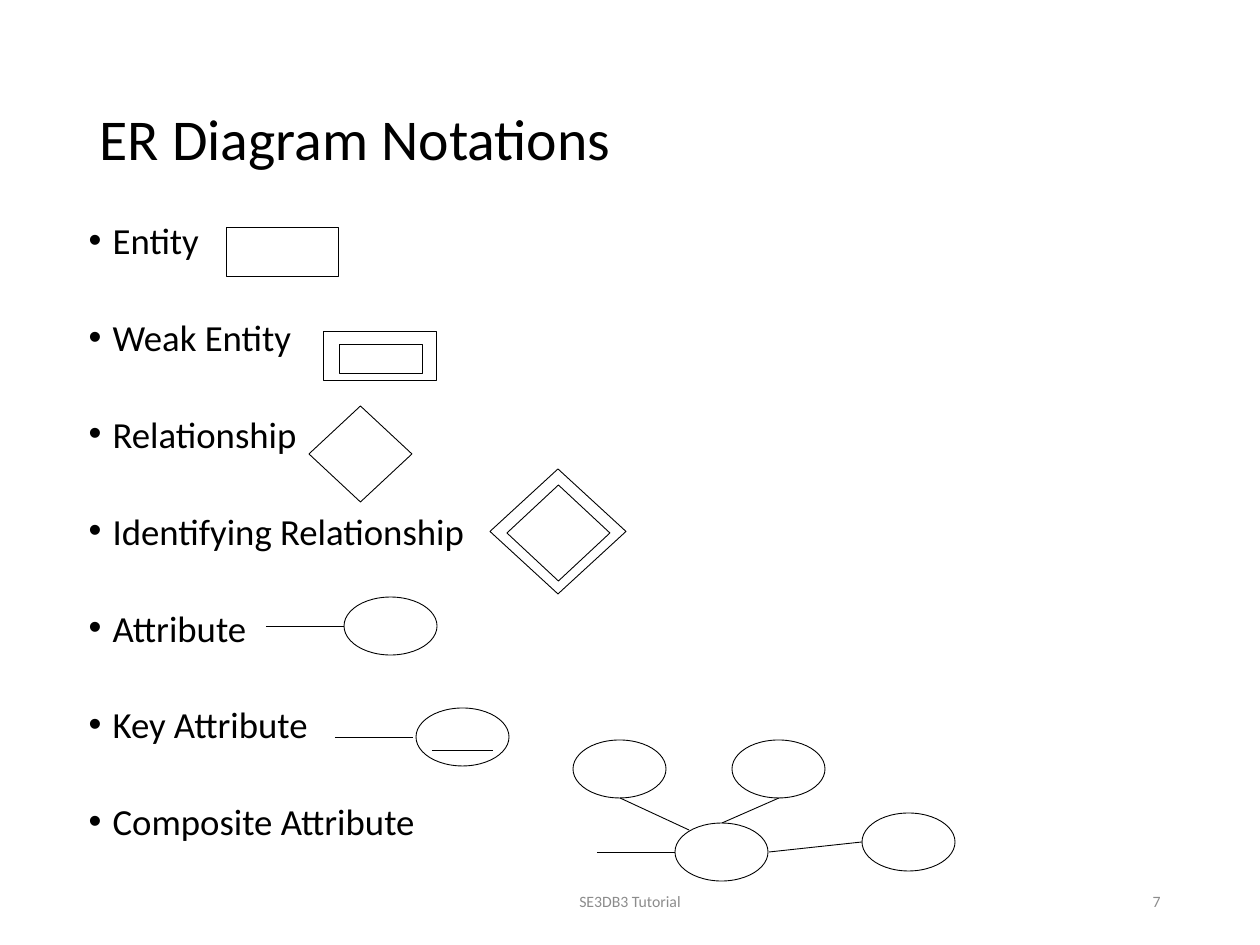
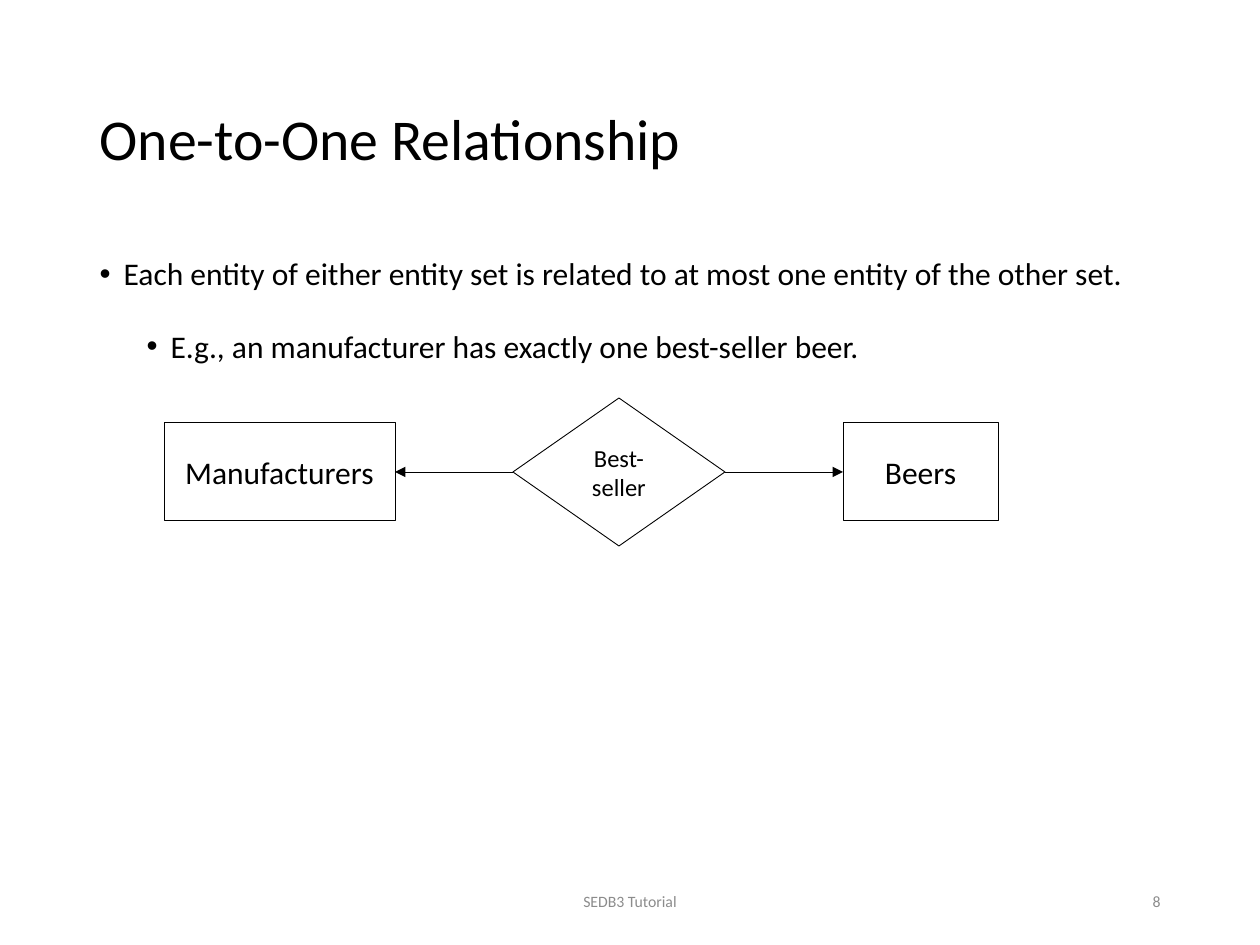
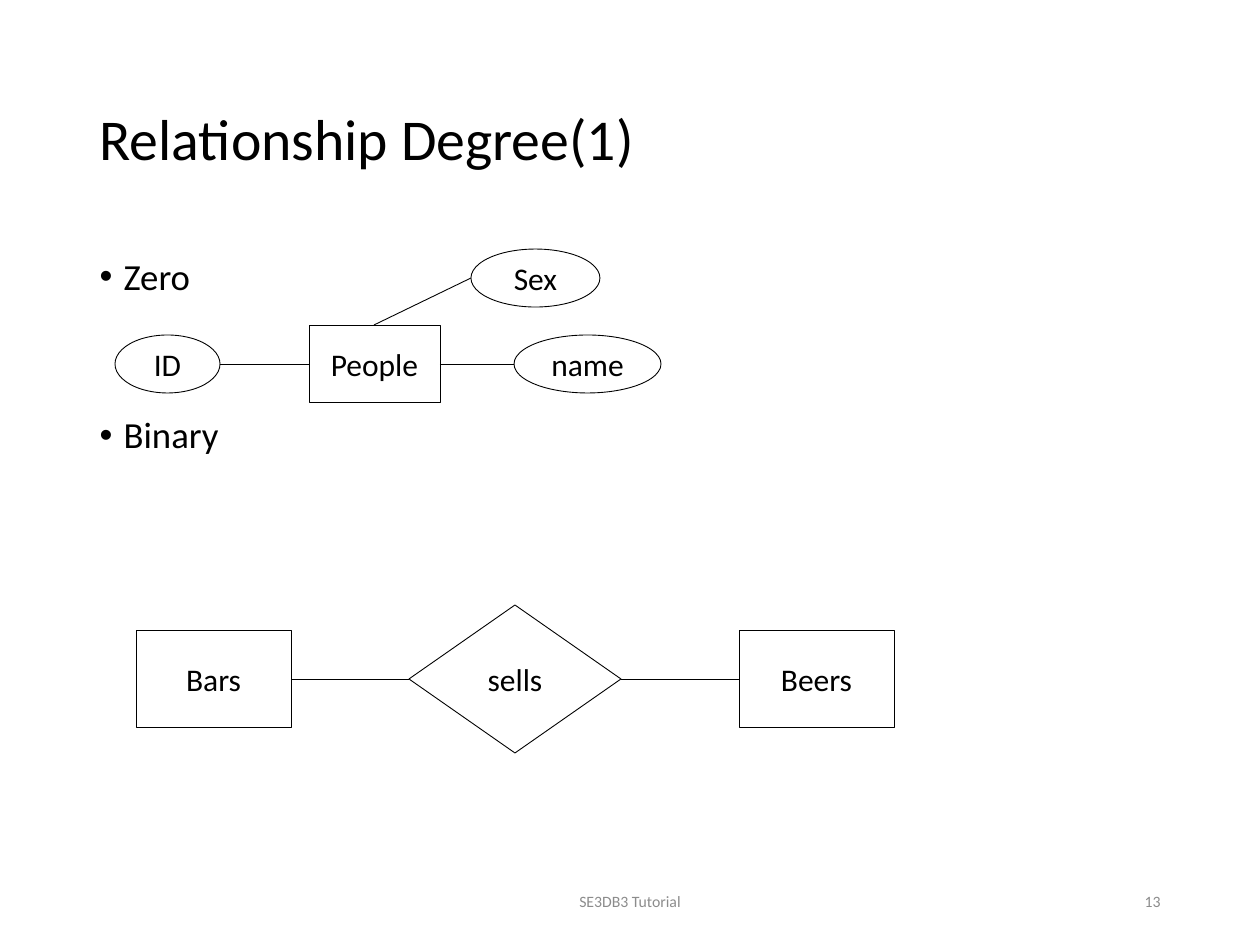
import dataclasses
import typing

import lxml.etree
import pptx
import pptx.dml.color
import pptx.enum.shapes
import pptx.enum.text
import pptx.oxml.ns
import pptx.util

EMU_PER_PX = 914400 / 126
ALIGN = pptx.enum.text.PP_ALIGN
MIDDLE = pptx.enum.text.MSO_ANCHOR.MIDDLE
SHAPE = pptx.enum.shapes.MSO_SHAPE
qn = pptx.oxml.ns.qn


@dataclasses.dataclass(frozen=True)
class Theme:
    font: str = "Calibri"
    ink: str = "000000"
    paper: str = "FFFFFF"
    muted: str = "8C8C8C"
    title_size: int = 33
    list_size: int = 21
    text_size: int = 18
    small_size: int = 14
    footer_size: int = 9
    line_width: float = 0.5
    first_space: float = 7.5


THEME = Theme()


class Box(typing.NamedTuple):
    left: int
    top: int
    width: int
    height: int


class Node(typing.NamedTuple):
    kind: SHAPE
    box: Box
    label: str = ""
    size: int = THEME.text_size


class Edge(typing.NamedTuple):
    x1: int
    y1: int
    x2: int
    y2: int
    arrow: bool = False


class Bullet(typing.NamedTuple):
    text: str
    space_before: float = THEME.first_space
    indent: int = 24


@dataclasses.dataclass(frozen=True)
class Page:
    title: str
    footer: str
    number: str
    bullets: list[Bullet]
    nodes: list[Node]
    edges: list[Edge]
    body: Box = Box(87, 252, 1086, 600)
    bullet_size: int = THEME.list_size
    line_spacing: float = 0.9


TITLE_BOX = Box(87, 50, 1086, 183)
FOOTER_BOX = Box(417, 876, 426, 50)
NUMBER_BOX = Box(890, 876, 283, 50)
BULLET_HANG = 24


def px(length: float) -> int:
    return round(length * EMU_PER_PX)


def colour(value: str) -> pptx.dml.color.RGBColor:
    return pptx.dml.color.RGBColor.from_string(value)


def place(shape, box: Box) -> None:
    shape.left, shape.top, shape.width, shape.height = map(px, box)


def write(para, text: str, *, size: int, ink: str = THEME.ink, align=ALIGN.LEFT,
          line_spacing: float | None = None, space_before: float = 0) -> None:
    para.alignment = align
    para.space_before = pptx.util.Pt(space_before)
    if line_spacing:
        para.line_spacing = line_spacing
    span = para.add_run()
    span.text = text
    span.font.name = THEME.font
    span.font.size = pptx.util.Pt(size)
    span.font.color.rgb = colour(ink)


def add_bullet_mark(para, indent: int) -> None:
    properties = para._p.get_or_add_pPr()
    properties.set("marL", str(px(indent)))
    properties.set("indent", str(-px(BULLET_HANG)))
    lxml.etree.SubElement(properties, qn("a:buFont")).set("typeface", "Arial")
    lxml.etree.SubElement(properties, qn("a:buChar")).set("char", "•")


def fill_title(slide, text: str) -> None:
    title = slide.shapes.title
    place(title, TITLE_BOX)
    frame = title.text_frame
    frame.auto_size = pptx.enum.text.MSO_AUTO_SIZE.NONE
    frame.vertical_anchor = MIDDLE
    write(frame.paragraphs[0], text, size=THEME.title_size, line_spacing=0.9)


def fill_body(slide, page: Page) -> None:
    body = slide.placeholders[1]
    place(body, page.body)
    frame = body.text_frame
    frame.auto_size = pptx.enum.text.MSO_AUTO_SIZE.NONE
    for index, bullet in enumerate(page.bullets):
        para = frame.add_paragraph() if index else frame.paragraphs[0]
        add_bullet_mark(para, bullet.indent)
        write(para, bullet.text, size=page.bullet_size,
              line_spacing=page.line_spacing, space_before=bullet.space_before)


def add_footer(slide, box: Box, text: str, align) -> None:
    frame = slide.shapes.add_textbox(*map(px, box)).text_frame
    frame.word_wrap = True
    frame.vertical_anchor = MIDDLE
    write(frame.paragraphs[0], text, size=THEME.footer_size, ink=THEME.muted, align=align)


def add_node(slide, node: Node) -> None:
    shape = slide.shapes.add_shape(node.kind, *map(px, node.box))
    shape.shadow.inherit = False
    shape.fill.solid()
    shape.fill.fore_color.rgb = colour(THEME.paper)
    shape.line.color.rgb = colour(THEME.ink)
    shape.line.width = pptx.util.Pt(THEME.line_width)
    if node.label:
        shape.text_frame.vertical_anchor = MIDDLE
        write(shape.text_frame.paragraphs[0], node.label, size=node.size, align=ALIGN.CENTER)


def add_edge(slide, edge: Edge) -> None:
    connector = slide.shapes.add_connector(
        pptx.enum.shapes.MSO_CONNECTOR.STRAIGHT, *map(px, edge[:4]))
    connector.line.color.rgb = colour(THEME.ink)
    connector.line.width = pptx.util.Pt(THEME.line_width)
    properties = connector._element.spPr
    if edge.arrow:
        line = properties.find(qn("a:ln"))
        lxml.etree.SubElement(line, qn("a:tailEnd")).set("type", "triangle")
    lxml.etree.SubElement(properties, qn("a:effectLst"))


def relationship(left: int, middle: int, first: str, verb: str, second: str, *,
                 first_width: int = 155, verb_size: int = THEME.text_size,
                 arrow: bool = False) -> tuple[list[Node], list[Edge]]:
    gap, entity_width, entity_height = 118, 155, 98
    diamond_width, diamond_height = 212, 148
    first_right = left + first_width
    diamond_left = first_right + gap
    diamond_right = diamond_left + diamond_width
    second_left = diamond_right + gap
    entity_top = middle - entity_height // 2
    nodes = [
        Node(SHAPE.RECTANGLE, Box(left, entity_top, first_width, entity_height), first),
        Node(SHAPE.RECTANGLE, Box(second_left, entity_top, entity_width, entity_height), second),
        Node(SHAPE.DIAMOND, Box(diamond_left, middle - diamond_height // 2,
                                diamond_width, diamond_height), verb, verb_size),
    ]
    edges = [
        Edge(diamond_left, middle, first_right, middle, arrow),
        Edge(diamond_right, middle, second_left, middle, arrow),
    ]
    return nodes, edges


def notation_page() -> Page:
    names = ["Entity", "Weak Entity", "Relationship", "Identifying Relationship",
             "Attribute", "Key Attribute", "Composite Attribute"]
    entities = [Box(226, 227, 113, 50), Box(324, 331, 113, 50), Box(339, 344, 84, 29)]
    relationships = [Box(309, 406, 103, 96), Box(490, 469, 136, 125), Box(507, 485, 103, 96)]
    attributes = [(344, 597), (416, 708), (675, 823), (573, 740), (732, 740), (862, 813)]
    return Page(
        title="ER Diagram Notations",
        footer="SE3DB3 Tutorial",
        number="7",
        bullets=[Bullet(name, 35.2 if index else THEME.first_space)
                 for index, name in enumerate(names)],
        nodes=[Node(SHAPE.RECTANGLE, box) for box in entities]
        + [Node(SHAPE.FLOWCHART_DECISION, box) for box in relationships]
        + [Node(SHAPE.OVAL, Box(left, top, 93, 58)) for left, top in attributes],
        edges=[
            Edge(266, 626, 344, 626),
            Edge(335, 737, 413, 737),
            Edge(432, 750, 493, 750),
            Edge(597, 852, 675, 852),
            Edge(620, 798, 689, 830),
            Edge(779, 798, 722, 823),
            Edge(769, 852, 862, 842),
        ],
        body=Box(76, 220, 1109, 644),
        line_spacing=0.8,
    )


def one_to_one_page() -> Page:
    nodes, edges = relationship(164, 472, "Manufacturers", "Best-seller", "Beers",
                                first_width=231, verb_size=THEME.small_size, arrow=True)
    return Page(
        title="One-to-One Relationship",
        footer="SEDB3 Tutorial",
        number="8",
        bullets=[
            Bullet("Each entity of either entity set is related to at most one entity"
                   " of the other set."),
            Bullet("E.g., an manufacturer has exactly one best-seller beer.", 22, 71),
        ],
        nodes=nodes,
        edges=edges,
        bullet_size=THEME.text_size,
    )


def degree_page() -> Page:
    nodes, edges = relationship(136, 679, "Bars", "sells", "Beers")
    return Page(
        title="Relationship Degree(1)",
        footer="SE3DB3 Tutorial",
        number="13",
        bullets=[Bullet("Zero"), Bullet("Binary", 68)],
        nodes=[
            Node(SHAPE.RECTANGLE, Box(309, 325, 131, 78), "People"),
            Node(SHAPE.OVAL, Box(514, 335, 147, 58), "name"),
            Node(SHAPE.OVAL, Box(115, 335, 105, 58), "ID"),
            Node(SHAPE.OVAL, Box(471, 249, 129, 58), "Sex"),
            *nodes,
        ],
        edges=[
            Edge(440, 364, 514, 364),
            Edge(220, 364, 309, 364),
            Edge(374, 325, 471, 278),
            *edges,
        ],
    )


def add_page(deck, page: Page) -> None:
    slide = deck.slides.add_slide(deck.slide_layouts[1])
    fill_title(slide, page.title)
    fill_body(slide, page)
    add_footer(slide, FOOTER_BOX, page.footer, ALIGN.CENTER)
    add_footer(slide, NUMBER_BOX, page.number, ALIGN.RIGHT)
    for node in page.nodes:
        add_node(slide, node)
    for edge in page.edges:
        add_edge(slide, edge)


def main() -> None:
    deck = pptx.Presentation()
    deck.slide_width, deck.slide_height = px(1260), px(945)
    for page in (notation_page(), one_to_one_page(), degree_page()):
        add_page(deck, page)
    deck.save("out.pptx")


if __name__ == "__main__":
    main()
